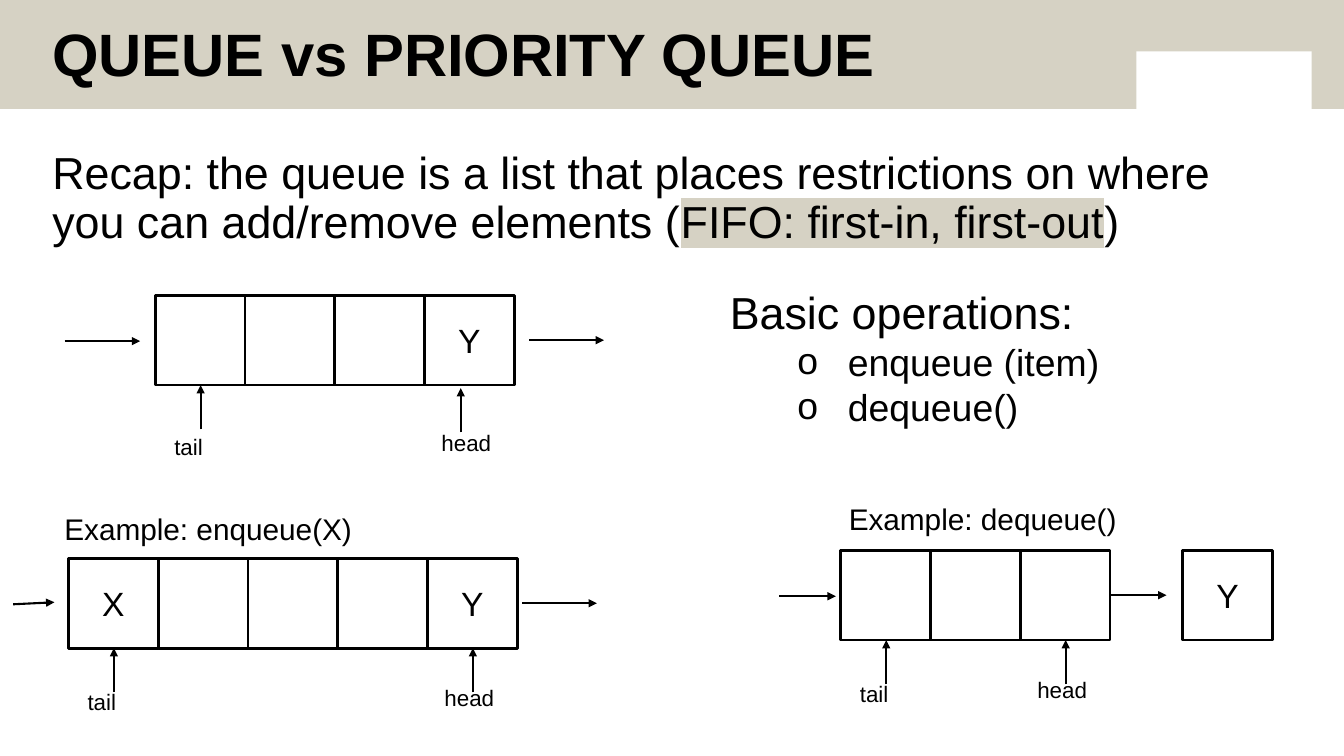
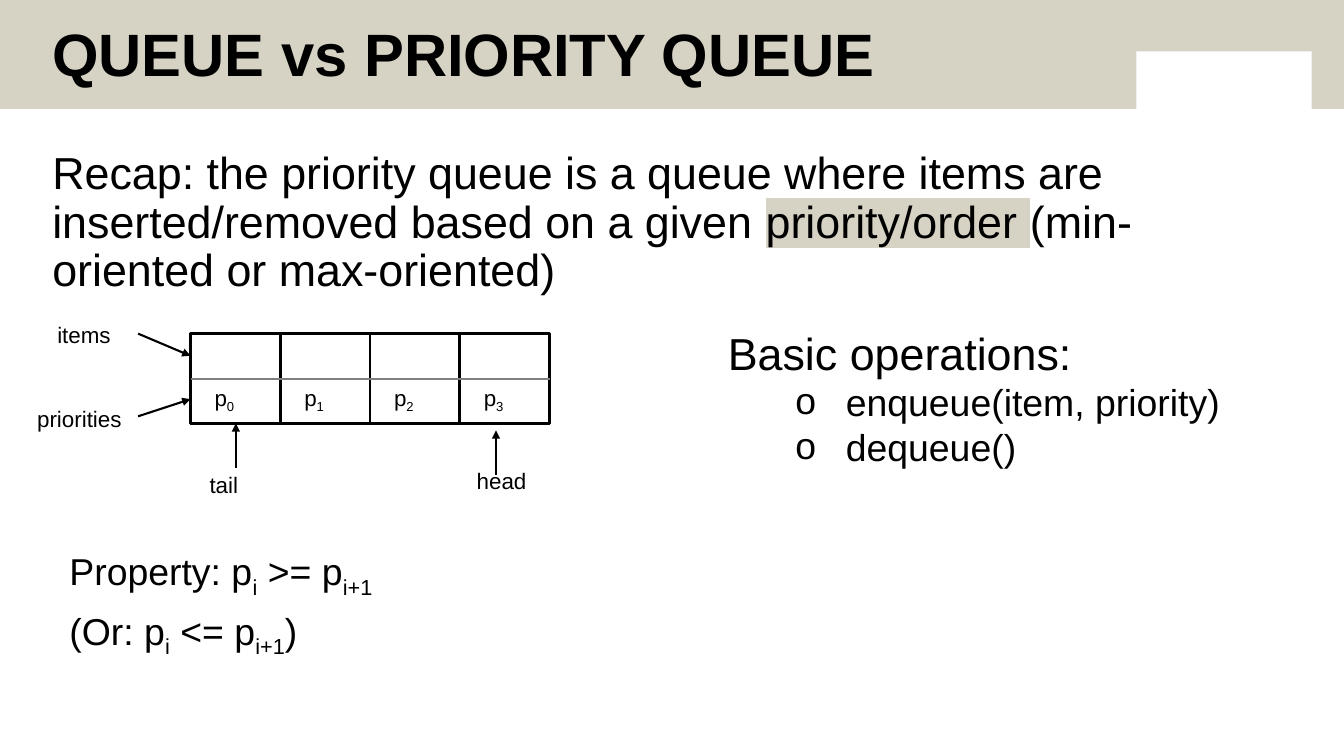
from lxml import etree
from pptx import Presentation
from pptx.dml.color import RGBColor
from pptx.enum.shapes import MSO_CONNECTOR, MSO_SHAPE
from pptx.enum.text import MSO_ANCHOR, PP_ALIGN
from pptx.oxml.ns import qn
from pptx.util import Inches, Pt

STRAIGHT = MSO_CONNECTOR.STRAIGHT
RECTANGLE = MSO_SHAPE.RECTANGLE
TOP, MIDDLE = MSO_ANCHOR.TOP, MSO_ANCHOR.MIDDLE
CENTER = PP_ALIGN.CENTER

FONT = "Arial"
BLACK, WHITE, GREY, STONE = "000000", "FFFFFF", "808080", "D6D2C4"
TITLE = "QUEUE vs PRIORITY QUEUE"
CELL = 0.89
BODY_SIZE, ITEM_SIZE, CELL_SIZE, CAPTION_SIZE, LABEL_SIZE = 32, 26.7, 24, 21.3, 16
PLAIN, MARKED, SUB = "plain", "marked", "sub"


def rgb(value):
    """Turn a hex string into a colour."""
    return RGBColor.from_string(value)


def format_run(run, size, bold=False, style=PLAIN):
    """Set the font of a run, with a highlight or subscript when asked."""
    run.font.name, run.font.size, run.font.bold = FONT, Pt(size), bold
    run.font.color.rgb = rgb(BLACK)
    properties = run.font._element
    if style == SUB:
        properties.set("baseline", "-25000")
    elif style == MARKED:
        highlight = etree.Element(qn("a:highlight"))
        etree.SubElement(highlight, qn("a:srgbClr")).set("val", STONE)
        properties.find(qn("a:latin")).addprevious(highlight)


def add_text(slide, box, pieces, size, bold=False, wrap=False, anchor=TOP, spacing=None):
    """Place one paragraph made of (text, style) pieces in a box."""
    frame = slide.shapes.add_textbox(*map(Inches, box)).text_frame
    frame.word_wrap, frame.vertical_anchor = wrap, anchor
    paragraph = frame.paragraphs[0]
    paragraph.line_spacing = spacing
    for text, style in pieces:
        run = paragraph.add_run()
        run.text = text
        format_run(run, size, bold, style)


def add_label(slide, left, top, width, text, size=LABEL_SIZE):
    """Place a short plain label."""
    add_text(slide, (left, top, width, 0.37), [(text, PLAIN)], size)


def add_rectangle(slide, box, fill=None):
    """Place a rectangle, either filled without outline or outlined without fill."""
    rectangle = slide.shapes.add_shape(RECTANGLE, *map(Inches, box))
    rectangle.shadow.inherit = False
    if fill:
        rectangle.fill.solid()
        rectangle.fill.fore_color.rgb = rgb(fill)
        rectangle.line.fill.background()
    else:
        rectangle.fill.background()
        rectangle.line.color.rgb = rgb(BLACK)
        rectangle.line.width = Pt(2)
    return rectangle


def add_line(slide, start, end, color=BLACK, width=1.5, arrow=True):
    """Draw a straight line, with an arrowhead at its end by default."""
    line = slide.shapes.add_connector(STRAIGHT, *map(Inches, (*start, *end)))
    line.line.color.rgb = rgb(color)
    line.line.width = Pt(width)
    properties = line._element.spPr
    if arrow:
        etree.SubElement(properties.find(qn("a:ln")), qn("a:tailEnd")).set("type", "triangle")
    etree.SubElement(properties, qn("a:effectLst"))


def add_frame(prs, recap):
    """Start a slide with the shared band, title and recap text."""
    slide = prs.slides.add_slide(prs.slide_layouts[6])
    add_rectangle(slide, (0, 0, 13.33, 1.08), STONE)
    add_rectangle(slide, (11.27, 0.51, 1.74, 0.57), WHITE)
    add_text(slide, (0.42, 0.21, 10.26, 0.71), [(TITLE, PLAIN)], 42.7,
             bold=True, wrap=True, anchor=MIDDLE, spacing=0.9)
    add_text(slide, (0.42, 1.45, 12.19, 5.46), recap, BODY_SIZE, wrap=True, spacing=0.9)
    return slide


def add_cell(slide, left, top, item=""):
    """Draw one cell of a queue with its item."""
    cell = add_rectangle(slide, (left, top, CELL, CELL))
    if item:
        cell.text_frame.text = item
        cell.text_frame.vertical_anchor = MIDDLE
        paragraph = cell.text_frame.paragraphs[0]
        paragraph.alignment = CENTER
        format_run(paragraph.runs[0], CELL_SIZE)


def add_queue(slide, left, top, items, head_x=0.45, head_gap=0.0, label_drop=1.24):
    """Draw a row of cells with tail and head pointers below its ends."""
    for index, item in enumerate(items):
        add_cell(slide, left + index * CELL, top, item)
    last = left + (len(items) - 1) * CELL
    bottom = top + CELL
    for x, gap in ((left + 0.45, 0), (last + head_x, head_gap)):
        add_line(slide, (x, bottom + gap + 0.44), (x, bottom + gap))
    add_label(slide, left + 0.09, top + label_drop, 0.49, "tail")
    add_label(slide, last + 0.07, top + label_drop - 0.04, 0.7, "head")


def add_flow(slide, left, top, count, enter, leave, rise=0.0):
    """Draw the arrows into and out of a queue, measured from its two ends."""
    middle = top + CELL / 2
    right = left + count * CELL
    add_line(slide, (left + enter[0], middle + 0.01), (left + enter[1], middle + 0.01 - rise))
    add_line(slide, (right + leave[0], middle), (right + leave[1], middle))


def add_operations(slide, left, top, width, operations):
    """List the basic operations under their heading."""
    frame = slide.shapes.add_textbox(*map(Inches, (left, top, width, 1.54))).text_frame
    frame.word_wrap = False
    frame.text = "\n".join(["Basic operations:", *operations])
    heading, *entries = frame.paragraphs
    format_run(heading.runs[0], BODY_SIZE)
    for entry in entries:
        entry.level = 1
        properties = entry._p.get_or_add_pPr()
        properties.set("marL", str(Inches(1.17)))
        properties.set("indent", str(Inches(-0.5)))
        etree.SubElement(properties, qn("a:buFont")).set("typeface", FONT)
        etree.SubElement(properties, qn("a:buChar")).set("char", "o")
        format_run(entry.runs[0], ITEM_SIZE)


def add_priority_queue(slide, left, top, count):
    """Draw a queue whose cells hold an item above a priority."""
    add_queue(slide, left, top, [""] * count, head_x=0.36, head_gap=0.07, label_drop=1.32)
    middle = top + 0.45
    add_line(slide, (left, middle), (left + count * CELL, middle), GREY, 2, arrow=False)
    for index in range(count):
        box = (left + 0.14 + index * CELL, middle, 0.4, 0.37)
        add_text(slide, box, [("p", PLAIN), (str(index), SUB)], LABEL_SIZE)
    add_line(slide, (left - 0.52, top), (left, top + 0.22))
    add_line(slide, (left - 0.52, top + 0.82), (left, top + 0.65))
    add_label(slide, left - 1.42, top - 0.17, 0.74, "items")
    add_label(slide, left - 1.62, top + 0.66, 1.05, "priorities")


def build_queue_slide(prs):
    """Recap the queue with examples of both operations."""
    slide = add_frame(prs, [
        ("Recap: the queue is a list that places restrictions on where you can "
         "add/remove elements (", PLAIN),
        ("FIFO: first-in, first-out", MARKED),
        (")", PLAIN)])
    add_queue(slide, 1.54, 2.93, ["", "", "", "Y"], head_x=0.36, head_gap=0.03, label_drop=1.32)
    add_flow(slide, 1.54, 2.93, 4, (-0.9, -0.15), (0.15, 0.89))
    add_operations(slide, 7.14, 2.78, 3.9, ["enqueue (item)", "dequeue()"])

    add_label(slide, 0.54, 5.02, 3.1, "Example: enqueue(X)", CAPTION_SIZE)
    add_queue(slide, 0.68, 5.54, ["X", "", "", "", "Y"])
    add_flow(slide, 0.68, 5.54, 5, (-0.55, -0.14), (0.05, 0.79), rise=0.02)

    add_label(slide, 8.32, 4.92, 2.9, "Example: dequeue()", CAPTION_SIZE)
    add_queue(slide, 8.34, 5.46, ["", "", ""])
    add_flow(slide, 8.34, 5.46, 3, (-0.61, -0.05), (0, 0.56))
    add_cell(slide, 11.73, 5.46, "Y")


def build_priority_slide(prs):
    """Recap the priority queue and its ordering property."""
    slide = add_frame(prs, [
        ("Recap: the priority queue is a queue where items are inserted/removed "
         "based on a given ", PLAIN),
        ("priority/order ", MARKED),
        ("(min-oriented or max-oriented)", PLAIN)])
    add_priority_queue(slide, 1.89, 3.31, 4)
    add_operations(slide, 7.12, 3.18, 5.12, ["enqueue(item, priority)", "dequeue()"])
    properties = (("Property: p", " >= p", "", 3.28), ("(Or: p", " <= p", ")", 2.53))
    for row, (opening, relation, closing, width) in enumerate(properties):
        pieces = [(opening, PLAIN), ("i", SUB), (relation, PLAIN), ("i+1", SUB)]
        if closing:
            pieces.append((closing, PLAIN))
        add_text(slide, (0.59, 5.39 + row * 0.59, width, 0.55), pieces, ITEM_SIZE)


def main():
    """Build and save the presentation."""
    prs = Presentation()
    prs.slide_width, prs.slide_height = Inches(13.33), Inches(7.5)
    build_queue_slide(prs)
    build_priority_slide(prs)
    prs.save("out.pptx")


if __name__ == "__main__":
    main()
